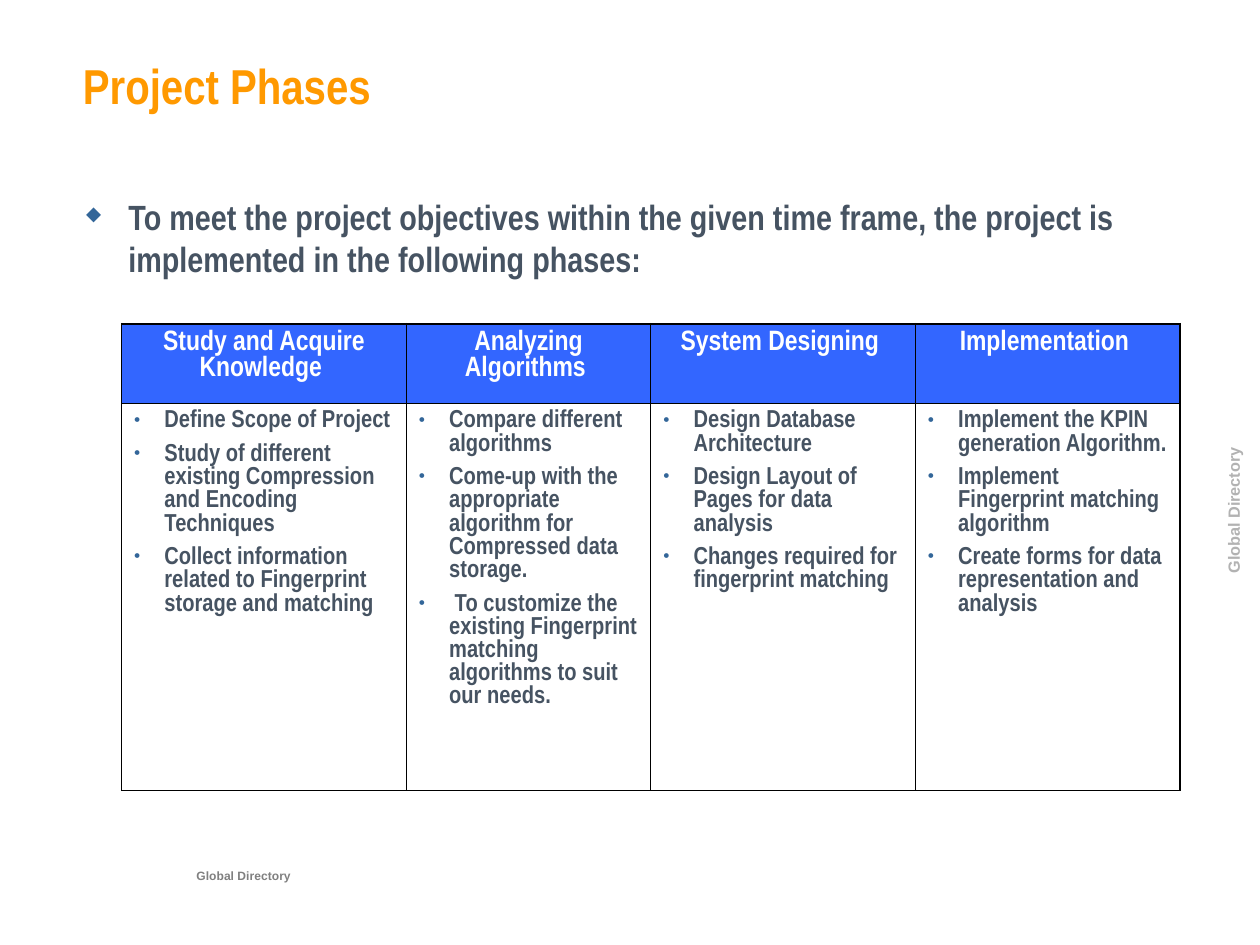
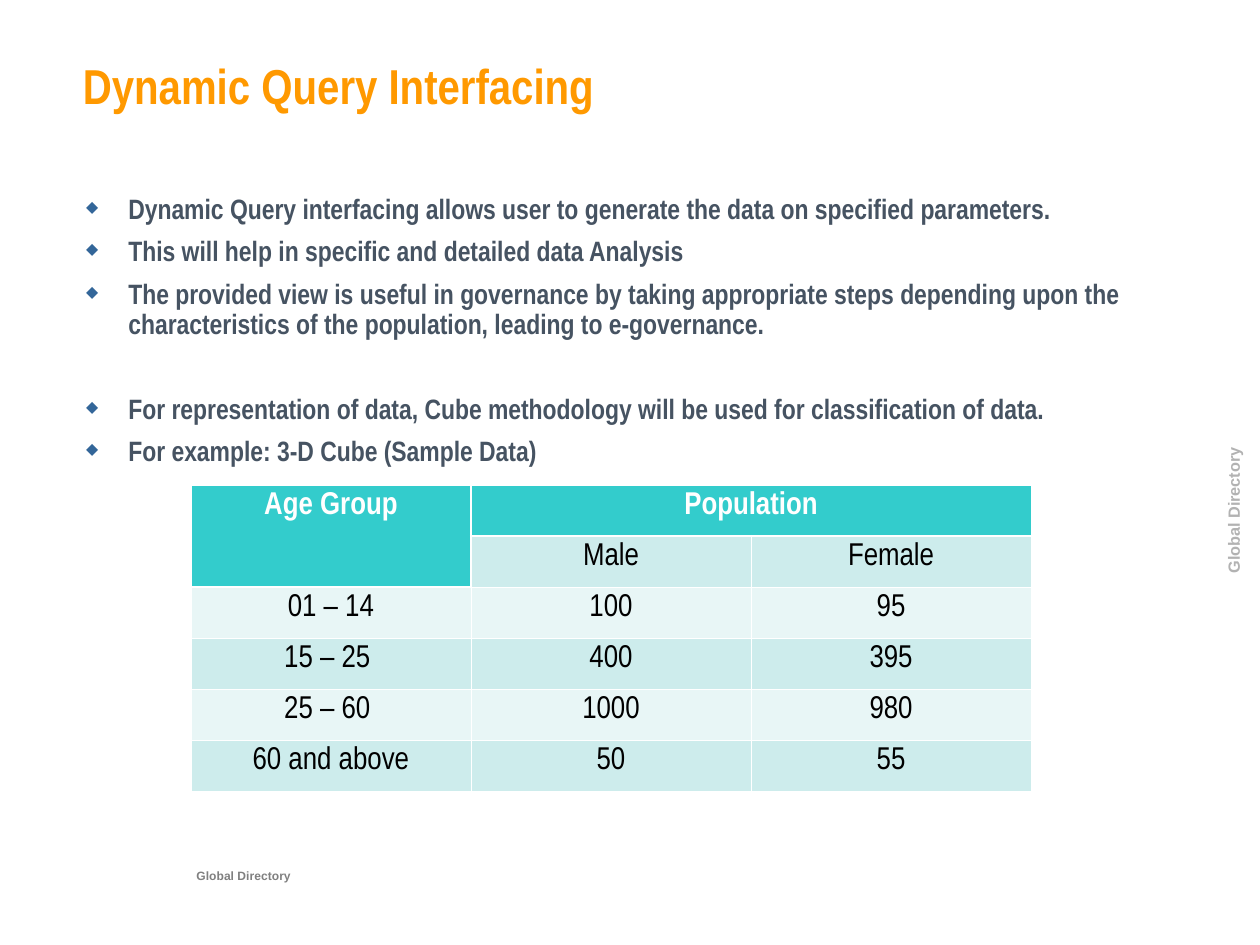
from dataclasses import dataclass
from typing import Callable, NamedTuple, Optional

from lxml.etree import SubElement
from pptx import Presentation
from pptx.dml.color import RGBColor
from pptx.enum.text import MSO_ANCHOR as Anchor, PP_ALIGN as Align
from pptx.oxml.ns import qn
from pptx.util import Emu, Inches, Pt

SLIDE_WIDTH = Inches(10)
SLIDE_HEIGHT = Inches(7.5)
GRID_COLUMNS = 100
GRID_ROWS = 75


@dataclass(frozen=True)
class Theme:
    heading_font: str = "Arial Narrow"
    label_font: str = "Arial"
    title: str = "FF9900"
    body: str = "465362"
    bullet: str = "336699"
    footer: str = "808080"
    side_label: str = "B2B2B2"
    white: str = "FFFFFF"
    black: str = "000000"
    phase_header: str = "3366FF"
    population_header: str = "33CCCC"
    band_dark: str = "CDECEC"
    band_light: str = "E8F6F6"
    title_size: float = 28
    lead_size: float = 20
    population_size: float = 18
    text_size: float = 16
    phase_size: float = 14
    footer_size: float = 12
    thin_line: float = 0.45
    frame_line: float = 1.08
    header_line: float = 1.47


THEME = Theme()


class Box(NamedTuple):
    left: float
    top: float
    width: float
    height: float


class Bullet(NamedTuple):
    symbol: str
    percent: int
    indent: float
    hang: float


class Label(NamedTuple):
    box: Box
    size: float
    color: str
    rotation: float = 0
    before: float = 0
    top_inset: float = 0.5
    bottom_inset: float = 0.5


class Phase(NamedTuple):
    name: str
    width: float
    tasks: list[str]


class Point(NamedTuple):
    text: str
    before: float = 7


Position = tuple[int, int]
LineRule = Callable[[str, Position, Optional[Position]], float]

TITLE_BOX = Box(5.6, 3.9, 91.5, 10)
BODY_BOX = Box(5.4, 15, 88.5, 53.3)
DIAMOND = Bullet("◆", 56, 3.8, 3.35)
DOT = Bullet("•", 75, 2.4, 2.4)
LABEL_TEXT = "Global Directory"
LABELS = [
    Label(Box(4, 67.3, 30.7, 3.3), THEME.footer_size, THEME.footer),
    Label(Box(74.6, 37.5, 46.1, 6), THEME.text_size, THEME.side_label,
          rotation=270, before=10, top_inset=1, bottom_inset=2),
]

PHASES = [
    Phase("Study and Acquire Knowledge ", 22.6, [
        "Define Scope of Project",
        "Study of different existing Compression and Encoding Techniques",
        "Collect information related to Fingerprint storage and matching",
    ]),
    Phase("Analyzing Algorithms ", 19.4, [
        "Compare different algorithms",
        "Come-up with the appropriate algorithm for Compressed data storage.",
        " To customize the existing Fingerprint matching algorithms to suit our needs.",
    ]),
    Phase("System Designing ", 21, [
        "Design Database Architecture",
        "Design Layout of Pages for data analysis",
        "Changes required for fingerprint matching",
    ]),
    Phase("Implementation ", 21, [
        "Implement the KPIN generation Algorithm.",
        "Implement Fingerprint matching algorithm",
        "Create forms for data representation and analysis",
    ]),
]

QUERY_POINTS = [
    Point("Dynamic Query interfacing allows user to generate the data on specified parameters."),
    Point("This will help in specific and detailed data Analysis"),
    Point("The provided view is useful in governance by taking appropriate steps "
          "depending upon the characteristics of the population, leading to e-governance."),
    Point("For representation of data, Cube methodology will be used for classification of data.",
          before=31.3),
    Point("For example: 3-D Cube (Sample Data)"),
]

POPULATION = [
    ["Age Group", "Population", ""],
    ["", "Male", "Female"],
    ["01 – 14", "100", "95"],
    ["15 – 25 ", "400", "395"],
    ["25 – 60 ", "1000", "980"],
    ["60 and above", "50", "55"],
]
POPULATION_HEADERS = {(0, 0): "age", (1, 0): "age", (0, 1): "population", (0, 2): "population"}


def across(columns: float) -> Emu:
    return Emu(round(SLIDE_WIDTH * columns / GRID_COLUMNS))


def down(rows: float) -> Emu:
    return Emu(round(SLIDE_HEIGHT * rows / GRID_ROWS))


def place(box: Box) -> tuple[Emu, Emu, Emu, Emu]:
    return across(box.left), down(box.top), across(box.width), down(box.height)


def write(frame, text: str, *, size: float, color: str, font: str = THEME.heading_font,
          bold: bool = True, align=Align.LEFT, before: float = 0, spacing: float = 1,
          bullet: Optional[Bullet] = None, baseline: int = 0) -> None:
    first = frame.paragraphs[0]
    paragraph = frame.add_paragraph() if first.runs else first
    paragraph.alignment = align
    paragraph.space_before = Pt(before)
    paragraph.line_spacing = spacing
    run = paragraph.add_run()
    run.text = text
    run.font.name = font
    run.font.size = Pt(size)
    run.font.bold = bold
    run.font.color.rgb = RGBColor.from_string(color)
    if baseline:
        run.font._element.set("baseline", str(baseline * 1000))
    if bullet:
        properties = paragraph._p.get_or_add_pPr()
        properties.set("marL", str(across(bullet.indent)))
        properties.set("indent", str(-across(bullet.hang)))
        bullet_color = SubElement(properties, qn("a:buClr"))
        SubElement(bullet_color, qn("a:srgbClr"), val=THEME.bullet)
        SubElement(properties, qn("a:buSzPct"), val=str(bullet.percent * 1000))
        SubElement(properties, qn("a:buChar"), char=bullet.symbol)


def add_frame(slide, box: Box, *, rotation: float = 0, anchor=Anchor.TOP,
              top_inset: float = 0.5, bottom_inset: float = 0.5):
    shape = slide.shapes.add_textbox(*place(box))
    shape.rotation = rotation
    frame = shape.text_frame
    frame.word_wrap = True
    frame.vertical_anchor = anchor
    frame.margin_top = down(top_inset)
    frame.margin_bottom = down(bottom_inset)
    return frame


def add_page(presentation, title: str):
    slide = presentation.slides.add_slide(presentation.slide_layouts[6])
    for label in LABELS:
        frame = add_frame(slide, label.box, rotation=label.rotation, anchor=Anchor.MIDDLE,
                          top_inset=label.top_inset, bottom_inset=label.bottom_inset)
        write(frame, LABEL_TEXT, size=label.size, color=label.color, font=THEME.label_font,
              align=Align.CENTER, before=label.before, baseline=-25)
    write(add_frame(slide, TITLE_BOX), title, size=THEME.title_size, color=THEME.title)
    return slide


def add_grid(slide, left: float, top: float, widths: list[float], heights: list[float],
             line_color: str, line_rule: LineRule):
    box = Box(left, top, sum(widths), sum(heights))
    table = slide.shapes.add_table(len(heights), len(widths), *place(box)).table
    table.first_row = False
    table.horz_banding = False
    for column, width in zip(table.columns, widths):
        column.width = across(width)
    for row, height in zip(table.rows, heights):
        row.height = down(height)
    for row in range(len(heights)):
        for column in range(len(widths)):
            neighbours = {"L": (row, column - 1), "R": (row, column + 1),
                          "T": (row - 1, column), "B": (row + 1, column)}
            properties = table.cell(row, column)._tc.get_or_add_tcPr()
            for side, (beside_row, beside_column) in neighbours.items():
                inside = 0 <= beside_row < len(heights) and 0 <= beside_column < len(widths)
                neighbour = (beside_row, beside_column) if inside else None
                width = Pt(line_rule(side, (row, column), neighbour))
                line = SubElement(properties, qn(f"a:ln{side}"), w=str(width))
                fill = SubElement(line, qn("a:solidFill"))
                SubElement(fill, qn("a:srgbClr"), val=line_color)
    return table


def fill_cell(cell, color: str) -> None:
    cell.fill.solid()
    cell.fill.fore_color.rgb = RGBColor.from_string(color)


def phase_line(side: str, _: Position, neighbour: Optional[Position]) -> float:
    is_heavy = neighbour is None and side in "TR"
    return THEME.frame_line if is_heavy else THEME.thin_line


def population_line(_: str, cell: Position, neighbour: Optional[Position]) -> float:
    leaves_header = neighbour and POPULATION_HEADERS.get(cell) != POPULATION_HEADERS.get(neighbour)
    return THEME.header_line if leaves_header else THEME.thin_line


def add_phases_slide(presentation) -> None:
    slide = add_page(presentation, "Project Phases")
    write(add_frame(slide, BODY_BOX),
          "To meet the project objectives within the given time frame, "
          "the project is implemented in the following phases:",
          size=THEME.lead_size, color=THEME.body, before=8.8, bullet=DIAMOND)
    table = add_grid(slide, 9.65, 25.7, [phase.width for phase in PHASES], [6.35, 26.1],
                     THEME.black, phase_line)
    for column, phase in enumerate(PHASES):
        header, body = table.cell(0, column), table.cell(1, column)
        fill_cell(header, THEME.phase_header)
        body.fill.background()
        write(header.text_frame, phase.name, size=THEME.text_size, color=THEME.white,
              align=Align.CENTER, before=7)
        for task in phase.tasks:
            write(body.text_frame, task, size=THEME.phase_size, color=THEME.body, before=6.1,
                  bullet=DOT)


def add_query_slide(presentation) -> None:
    slide = add_page(presentation, "Dynamic Query Interfacing")
    frame = add_frame(slide, BODY_BOX)
    for point in QUERY_POINTS:
        write(frame, point.text, size=THEME.text_size, color=THEME.body, before=point.before,
              spacing=0.9, bullet=DIAMOND)
    table = add_grid(slide, 15.15, 38.5, [22.23] * 3, [4.05] * len(POPULATION),
                     THEME.white, population_line)
    table.cell(0, 0).merge(table.cell(1, 0))
    table.cell(0, 1).merge(table.cell(0, 2))
    for row, values in enumerate(POPULATION):
        band = THEME.band_dark if row % 2 else THEME.band_light
        for column, value in enumerate(values):
            cell = table.cell(row, column)
            is_header = (row, column) in POPULATION_HEADERS
            fill_cell(cell, THEME.population_header if is_header else band)
            if value:
                write(cell.text_frame, value, size=THEME.population_size, bold=is_header,
                      color=THEME.white if is_header else THEME.black, align=Align.CENTER)


def main() -> None:
    presentation = Presentation()
    presentation.slide_width = SLIDE_WIDTH
    presentation.slide_height = SLIDE_HEIGHT
    add_phases_slide(presentation)
    add_query_slide(presentation)
    presentation.save("out.pptx")


if __name__ == "__main__":
    main()
